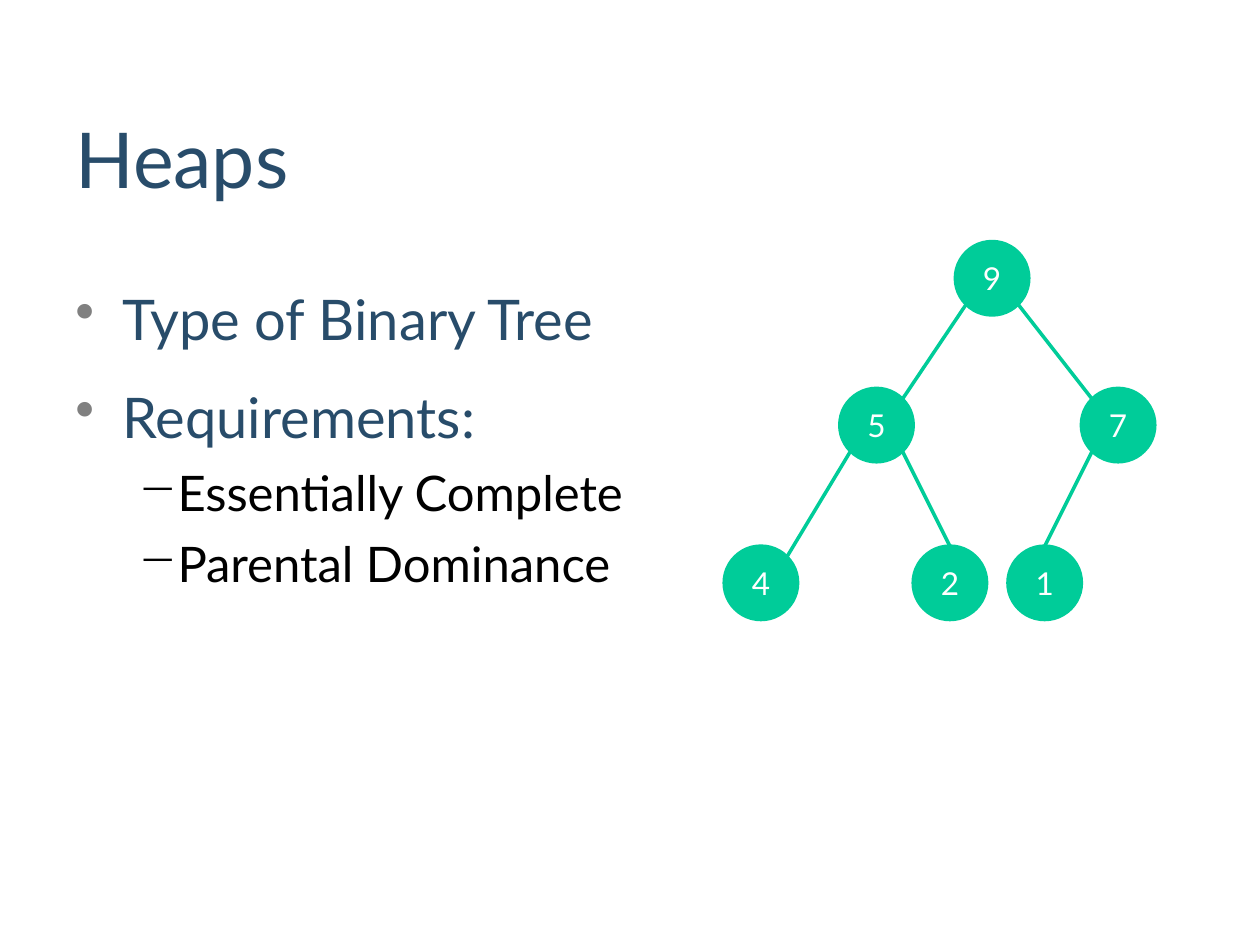
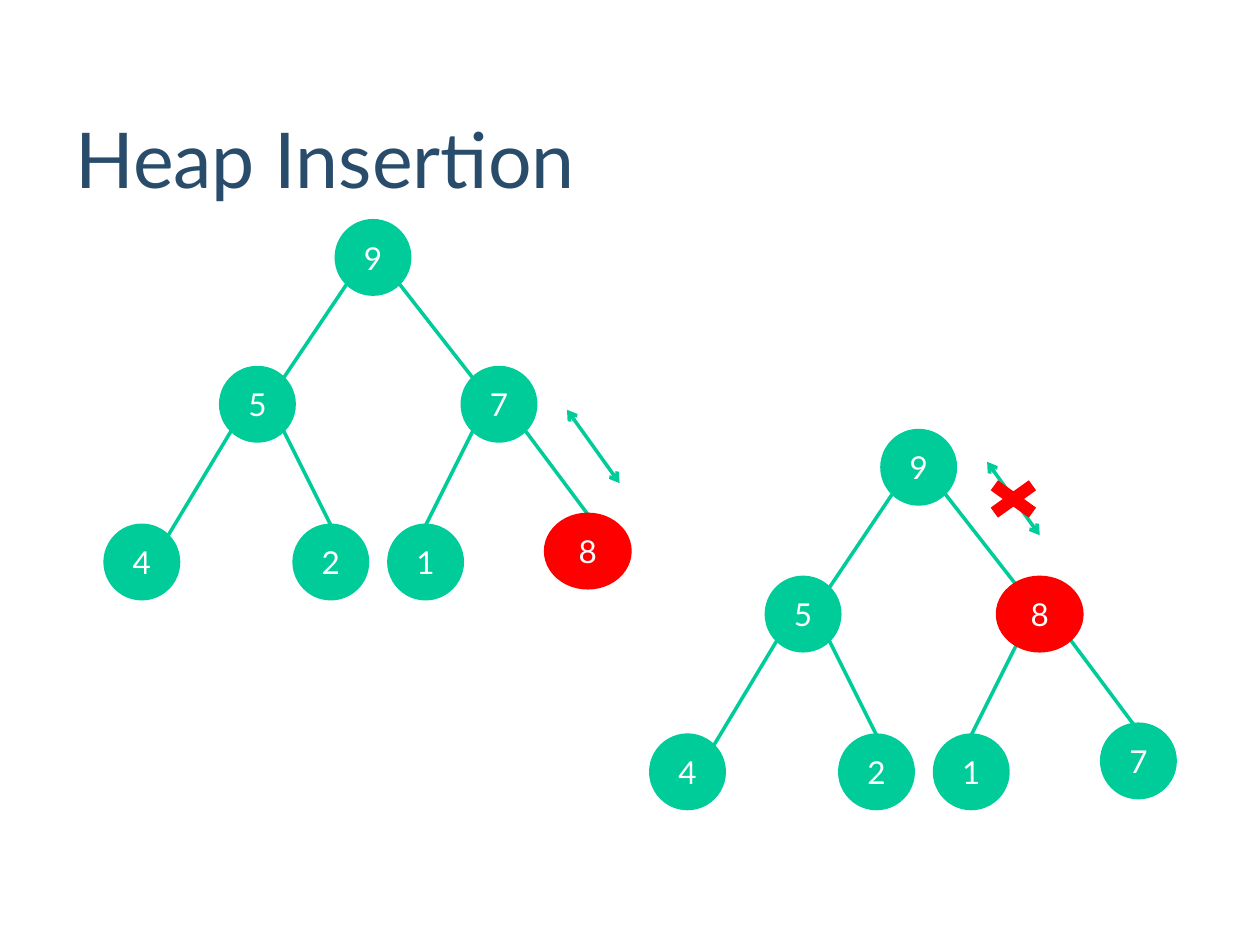
from lxml.etree import SubElement
from pptx import Presentation
from pptx.dml.color import RGBColor
from pptx.enum.shapes import MSO_CONNECTOR as Link, MSO_SHAPE as Form
from pptx.enum.text import MSO_ANCHOR as Anchor, PP_ALIGN as Align
from pptx.oxml.ns import qn
from pptx.util import Cm, Pt

FONT = "Lato"
NAVY, GREEN, RED = "284C6A", "00CC99", "FF0000"
WHITE, BLACK, GREY = "FFFFFF", "000000", "808080"
R = 0.74
SIDE = 0.52
SPOTS = [(5.4, 0.74), (3.07, 3.7), (7.94, 3.7), (0.74, 6.88),
         (4.55, 6.88), (6.46, 6.88), (9.83, 6.66)]
EDGES = [(0, 1, -SIDE, (SIDE, -SIDE)), (0, 2, SIDE, (-SIDE, -SIDE)),
         (1, 3, -SIDE, (SIDE, -SIDE)), (1, 4, SIDE, (0, -R)),
         (2, 5, -SIDE, (0, -R)), (2, 6, SIDE, (-0.1, -R))]


def rgb(code):
    """Turn a hex string into a colour."""
    return RGBColor.from_string(code)


def style(par, size, color):
    """Set the font of a paragraph."""
    par.font.name, par.font.size = FONT, Pt(size)
    par.font.color.rgb = rgb(color)


def frame(slide, top, height):
    """Add a wrapping text box and return its text frame."""
    box = slide.shapes.add_textbox(Cm(1.27), Cm(top), Cm(22.43), Cm(height))
    box.text_frame.word_wrap = True
    return box.text_frame


def page(deck, title):
    """Add a blank slide with a title."""
    slide = deck.slides.add_slide(deck.slide_layouts[6])
    text = frame(slide, 1.9, 2.54)
    text.vertical_anchor = Anchor.MIDDLE
    text.text = title
    style(text.paragraphs[0], 44, NAVY)
    return slide


def bullet(par, mark, color, left, hang):
    """Give a paragraph a hanging bullet."""
    props = par._p.get_or_add_pPr()
    props.set("marL", str(Cm(left)))
    props.set("indent", str(-Cm(hang)))
    tint = SubElement(props, qn("a:buClr"))
    SubElement(tint, qn("a:srgbClr"), val=color)
    SubElement(props, qn("a:buChar"), char=mark)


def points(slide, items):
    """Add the two-level list of (level, text) items."""
    text = frame(slide, 5.28, 12.5)
    for i, (level, words) in enumerate(items):
        par = text.add_paragraph() if i else text.paragraphs[0]
        par.text, par.level = words, level
        if level:
            par.space_before = Pt(7)
            bullet(par, "−", BLACK, 2.06, 0.79)
            style(par, 28, BLACK)
        else:
            par.line_spacing, par.space_before = 1.25, Pt(8)
            bullet(par, "•", GREY, 0.95, 0.95)
            style(par, 32, NAVY)


def node(slide, x, y, value, hot):
    """Add a numbered node around a centre, wide and red if hot."""
    color, left, width = (RED, x - 0.95, 1.7) if hot else (GREEN, x - R, 2 * R)
    shape = slide.shapes.add_shape(
        Form.OVAL, Cm(left), Cm(y - R), Cm(width), Cm(2 * R))
    shape.shadow.inherit = False
    shape.fill.solid()
    shape.fill.fore_color.rgb = shape.line.color.rgb = rgb(color)
    shape.line.width = Pt(2)
    text = shape.text_frame
    text.vertical_anchor = Anchor.MIDDLE
    text.text = str(value)
    text.paragraphs[0].alignment = Align.CENTER
    style(text.paragraphs[0], 18, WHITE)


def line(slide, x1, y1, x2, y2):
    """Add a green line."""
    link = slide.shapes.add_connector(
        Link.STRAIGHT, Cm(x1), Cm(y1), Cm(x2), Cm(y2))
    link.line.color.rgb, link.line.width = rgb(GREEN), Pt(2)
    SubElement(link._element.spPr, qn("a:effectLst"))
    return link


def swap(slide, x, y):
    """Add a double arrow beside an edge."""
    link = line(slide, x, y, x + 1.06, y + 1.48)
    for end in ("a:headEnd", "a:tailEnd"):
        SubElement(link.line._get_or_add_ln(), qn(end), type="arrow")


def cross(slide, x, y):
    """Add a red cross."""
    mark = slide.shapes.add_shape(
        Form.MATH_MULTIPLY, Cm(x), Cm(y), Cm(1.48), Cm(1.06))
    mark.shadow.inherit = False
    mark.fill.solid()
    mark.fill.fore_color.rgb = rgb(RED)
    mark.line.fill.background()


def tree(slide, x, y, values, hot=None):
    """Add a heap in level order, edges first, with one hot value."""
    spots = [(x + dx, y + dy) for dx, dy in SPOTS[:len(values)]]
    for top, low, side, (dx, dy) in EDGES[:len(values) - 1]:
        (x1, y1), (x2, y2) = spots[top], spots[low]
        line(slide, x1 + side, y1 + SIDE, x2 + dx, y2 + dy)
    for (cx, cy), value in zip(spots, values):
        node(slide, cx, cy, value, value == hot)


def main():
    """Build the deck."""
    deck = Presentation()
    deck.slide_width, deck.slide_height = Cm(25.4), Cm(19.05)

    heaps = page(deck, "Heaps")
    points(heaps, [(0, "Type of Binary Tree"), (0, "Requirements:"),
                   (1, "Essentially Complete"), (1, "Parental Dominance")])
    tree(heaps, 14.6, 4.87, [9, 5, 7, 4, 2, 1])

    insert = page(deck, "Heap Insertion")
    tree(insert, 2.12, 4.45, [9, 5, 7, 4, 2, 1, 8], hot=8)
    swap(insert, 11.43, 8.26)
    tree(insert, 13.12, 8.68, [9, 5, 8, 4, 2, 1, 7], hot=8)
    swap(insert, 19.9, 9.31)
    cross(insert, 19.69, 9.53)
    deck.save("out.pptx")


if __name__ == "__main__":
    main()
